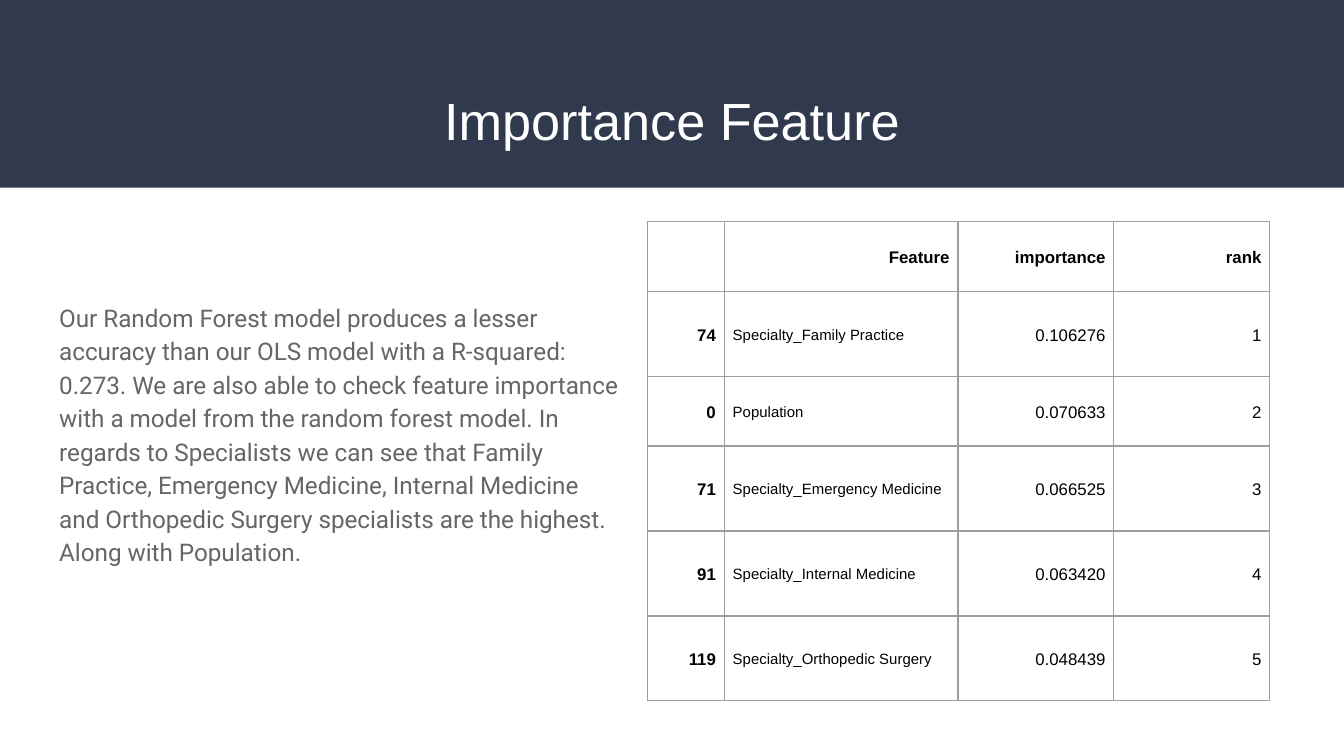
import pptx
import pptx.dml.color
import pptx.enum.shapes
import pptx.enum.text
import pptx.oxml
import pptx.oxml.ns
import pptx.util
from pptx.util import Cm

RGBColor = pptx.dml.color.RGBColor
NAVY = RGBColor(0x31, 0x39, 0x4D)
WHITE = RGBColor(0xFF, 0xFF, 0xFF)
GREY = RGBColor(0x66, 0x66, 0x66)
BLACK = RGBColor(0x00, 0x00, 0x00)
BORDER = RGBColor(0x9E, 0x9E, 0x9E)

ALIGN = pptx.enum.text.PP_ALIGN
ANCHOR = pptx.enum.text.MSO_ANCHOR

TITLE = "Importance Feature"
BODY = (
    "Our Random Forest model produces a lesser accuracy than our OLS model "
    "with a R-squared: 0.273. We are also able to check feature importance "
    "with a model from the random forest model. In regards to Specialists we "
    "can see that Family Practice, Emergency Medicine, Internal Medicine and "
    "Orthopedic Surgery specialists are the highest. Along with Population."
)
FEATURES = [
    ("", "Feature", "importance", "rank"),
    ("74", "Specialty_Family Practice", "0.106276", "1"),
    ("0", "Population", "0.070633", "2"),
    ("71", "Specialty_Emergency Medicine", "0.066525", "3"),
    ("91", "Specialty_Internal Medicine", "0.063420", "4"),
    ("119", "Specialty_Orthopedic Surgery", "0.048439", "5"),
]
COLUMN_WIDTHS = (1.45, 4.42, 2.95, 2.95)
ROW_HEIGHTS = (1.32, 1.61, 1.32, 1.61, 1.61, 1.61)


def add_run(p, text, font, size, color, bold=False):
    r = p.add_run()
    r.text = text
    r.font.name = font
    r.font.size = pptx.util.Pt(size)
    r.font.color.rgb = color
    r.font.bold = bold


def add_text_box(s, left, top, width, height):
    tf = s.shapes.add_textbox(Cm(left), Cm(top), Cm(width), Cm(height)).text_frame
    tf.word_wrap = True
    tf.margin_left = tf.margin_right = Cm(0.25)
    tf.margin_top = tf.margin_bottom = Cm(0.25)
    return tf


def add_title_band(s, left, top, width, height):
    sp = s.shapes.add_shape(pptx.enum.shapes.MSO_SHAPE.RECTANGLE,
                            Cm(left), Cm(top), Cm(width), Cm(height))
    sp.shadow.inherit = False
    sp.fill.solid()
    sp.fill.fore_color.rgb = NAVY
    sp.line.fill.background()
    tf = add_text_box(s, left + 0.87, top + 1.4, width - 1.74, 1.73)
    tf.vertical_anchor = ANCHOR.MIDDLE
    p = tf.paragraphs[0]
    p.alignment = ALIGN.CENTER
    add_run(p, TITLE, "Arial", 28, WHITE)


def add_commentary(s, left, top, width, height):
    tf = add_text_box(s, left, top, width, height)
    tf.margin_top = Cm(1.45)
    p = tf.paragraphs[0]
    p.line_spacing = 1.15
    add_run(p, BODY, "Roboto", 13, GREY)


def set_borders(cell):
    tc_pr = cell._tc.get_or_add_tcPr()
    for index, side in enumerate(("lnL", "lnR", "lnT", "lnB")):
        tc_pr.insert(index, pptx.oxml.parse_xml(
            f'<a:{side} {pptx.oxml.ns.nsdecls("a")} w="9525"><a:solidFill>'
            f'<a:srgbClr val="{BORDER}"/></a:solidFill></a:{side}>'))


def fill_cell(cell, text, header, column):
    cell.fill.background()
    set_borders(cell)
    cell.vertical_anchor = ANCHOR.MIDDLE
    cell.margin_left = cell.margin_right = Cm(0.16)
    cell.margin_top = cell.margin_bottom = Cm(0.16)
    if not text:
        return
    is_name = column == 1 and not header
    p = cell.text_frame.paragraphs[0]
    p.alignment = ALIGN.LEFT if is_name else ALIGN.RIGHT
    p.line_spacing = 1.15
    p.space_before = pptx.util.Pt(9)
    add_run(p, text, "Arial", 8 if is_name else 9, BLACK,
            bold=header or column == 0)


def add_feature_table(s, left, top, width, height):
    """Column widths and row heights are scaled to fill the given box."""
    table = s.shapes.add_table(len(FEATURES), len(COLUMN_WIDTHS), Cm(left),
                               Cm(top), Cm(width), Cm(height)).table
    table.first_row = table.horz_banding = False
    for column, share in zip(table.columns, COLUMN_WIDTHS):
        column.width = Cm(width * share / sum(COLUMN_WIDTHS))
    for row, share in zip(table.rows, ROW_HEIGHTS):
        row.height = Cm(height * share / sum(ROW_HEIGHTS))
    for i, values in enumerate(FEATURES):
        for j, text in enumerate(values):
            fill_cell(table.cell(i, j), text, header=i == 0, column=j)


def main():
    prs = pptx.Presentation()
    prs.slide_width = Cm(25.4)
    prs.slide_height = Cm(14.29)
    s = prs.slides.add_slide(prs.slide_layouts[6])
    add_title_band(s, 0, 0, 25.4, 3.55)
    add_commentary(s, 0.87, 4.2, 11.1, 6.48)
    add_feature_table(s, 12.24, 4.19, 11.76, 9.06)
    prs.save("out.pptx")


if __name__ == "__main__":
    main()
